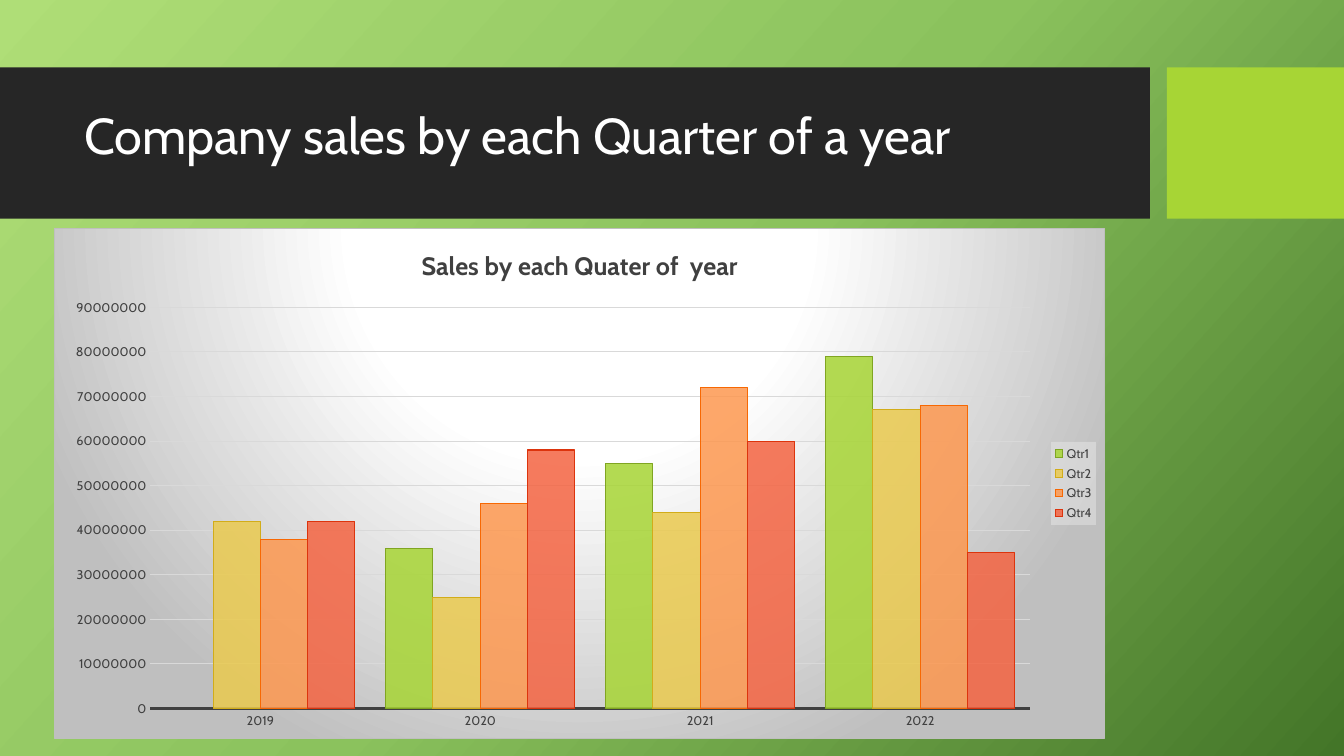
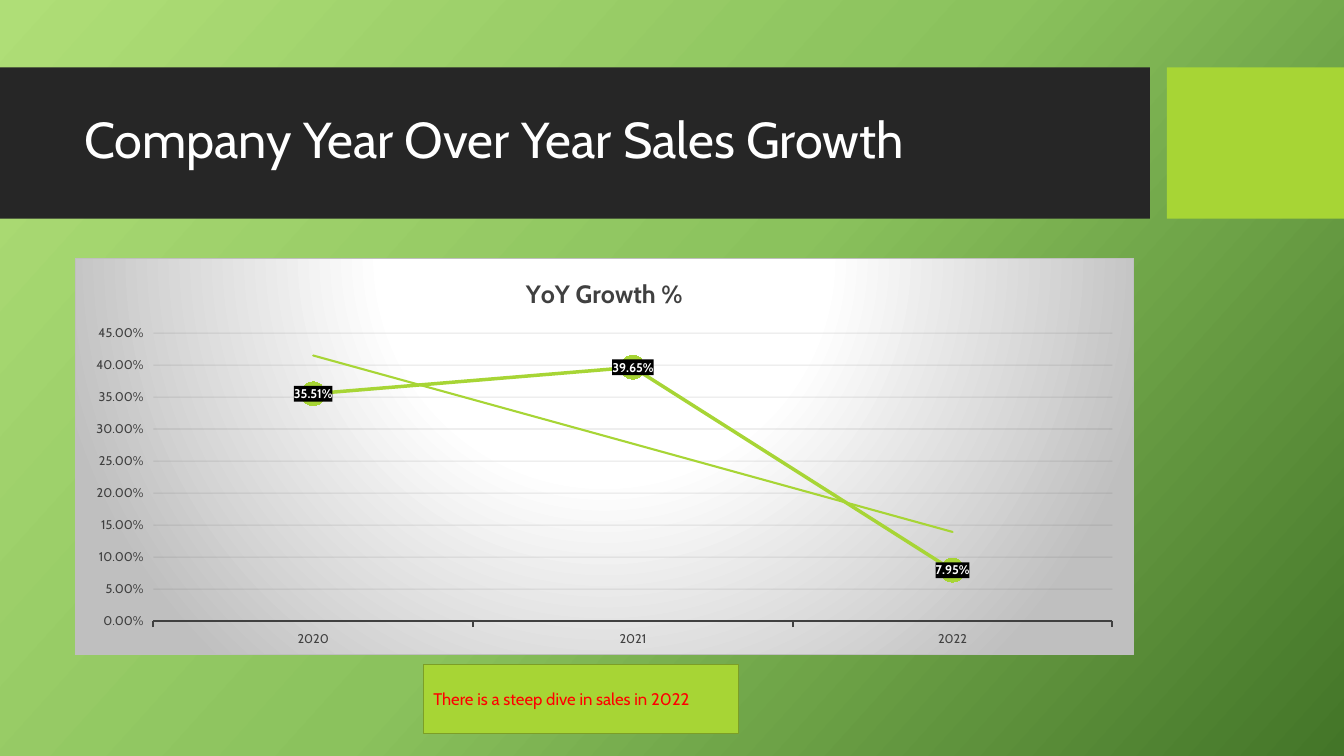
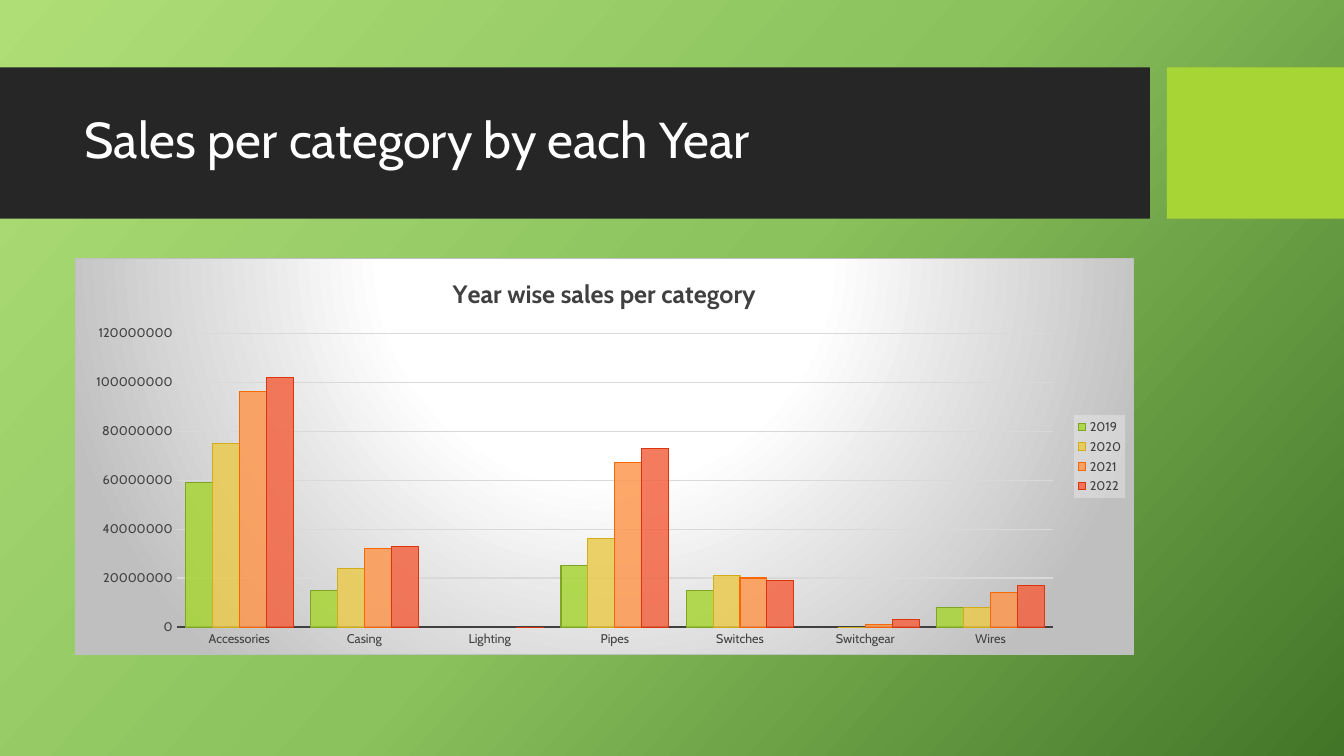
from pptx import Presentation
from pptx.chart.data import CategoryChartData
from pptx.dml.color import RGBColor
from pptx.enum.chart import (XL_CHART_TYPE, XL_LABEL_POSITION, XL_LEGEND_POSITION,
                             XL_MARKER_STYLE, XL_TICK_MARK)
from pptx.enum.shapes import MSO_SHAPE
from pptx.enum.text import MSO_ANCHOR, PP_ALIGN
from pptx.oxml import parse_xml
from pptx.oxml.ns import nsdecls, qn
from pptx.util import Cm, Pt

COLUMNS, LINE = XL_CHART_TYPE.COLUMN_CLUSTERED, XL_CHART_TYPE.LINE_MARKERS
TICK_NONE, TICK_OUT = XL_TICK_MARK.NONE, XL_TICK_MARK.OUTSIDE
RECTANGLE, MIDDLE, LEFT = MSO_SHAPE.RECTANGLE, MSO_ANCHOR.MIDDLE, PP_ALIGN.LEFT
LEGEND_RIGHT, LABEL_CENTER = XL_LEGEND_POSITION.RIGHT, XL_LABEL_POSITION.CENTER
CIRCLE = XL_MARKER_STYLE.CIRCLE

FONT = "Cabin"
WHITE = RGBColor(0xFF, 0xFF, 0xFF)
RED = RGBColor(0xFF, 0x00, 0x00)
CHARCOAL = RGBColor(0x26, 0x26, 0x26)
LIME = RGBColor(0xA7, 0xD5, 0x35)
LIME_EDGE = RGBColor(0x7C, 0x9E, 0x27)
TEXT_GREY = RGBColor(0x40, 0x40, 0x40)
GRID_LIGHT = RGBColor(0xD9, 0xD9, 0xD9)
GRID_DARK = RGBColor(0x0D, 0x0D, 0x0D)
SERIES_COLORS = [  # fill, outline
    (LIME, RGBColor(0x80, 0xA5, 0x22)),
    (RGBColor(0xEA, 0xCA, 0x4F), RGBColor(0xD2, 0xAC, 0x19)),
    (RGBColor(0xFD, 0x98, 0x50), RGBColor(0xF7, 0x68, 0x03)),
    (RGBColor(0xF4, 0x64, 0x42), RGBColor(0xDC, 0x34, 0x0D)),
]

AXIS_TEXT = {"size": Pt(9), "name": FONT}
LABEL_TEXT = {"size": Pt(9), "name": FONT, "bold": True}
CHART_TITLE_TEXT = {"size": Pt(18), "name": FONT, "bold": True}
PAGE_TITLE_TEXT = {"size": Pt(36), "name": FONT}
NOTE_TEXT = {"size": Pt(12), "name": FONT}

BACKGROUND_STOPS = [(0, "AFDE77"), (50, "8BC25D"), (100, "437528")]
CHART_STOPS = [(0, "FFFFFF"), (39, "FFFFFF"), (100, "BFBFBF")]
BACKGROUND_SHADE = '<a:lin ang="2520000" scaled="0"/>'
CHART_SHADE = ('<a:path path="circle"><a:fillToRect l="50000" t="-80000" '
               'r="50000" b="180000"/></a:path>')
CHART_BORDER = '<a:ln w="9525"><a:solidFill><a:srgbClr val="BFBFBF"/></a:solidFill></a:ln>'
TRENDLINE = ('<c:trendline %s><c:spPr><a:ln w="19050" cap="rnd"><a:solidFill>'
             '<a:srgbClr val="A7D535"/></a:solidFill></a:ln></c:spPr>'
             '<c:trendlineType val="linear"/><c:dispRSqr val="0"/><c:dispEq val="0"/>'
             '</c:trendline>') % nsdecls("c", "a")

# Panels behind chart text: owner, colour, opacity in percent
TEXT_PANELS = [("c:legend", "F2F2F2", 39), ("c:dLbls", "000000", 100)]
MILLION = 1_000_000
LOWER_CHART = (1.88, 6.5, 26.7, 10.01)

PAGES = [
    {
        "title": "Company sales by each Quarter of a year", "title_height": 2.82,
        "chart_title": "Sales by each Quater of  year",
        "type": COLUMNS, "at": (1.37, 5.74, 26.47, 12.88),
        "top": 90 * MILLION, "step": 10 * MILLION, "unit": MILLION,
        "categories": ["2019", "2020", "2021", "2022"],
        "series": {
            "Qtr1": [None, 36, 55, 79],
            "Qtr2": [42, 25, 44, 67],
            "Qtr3": [38, 46, 72, 68],
            "Qtr4": [42, 58, 60, 35],
        },
    },
    {
        "title": "Company Year Over Year Sales Growth", "title_height": 3,
        "chart_title": "YoY Growth %",
        "type": LINE, "at": LOWER_CHART,
        "top": 0.45, "step": 0.05, "unit": 1,
        "categories": ["2020", "2021", "2022"],
        "series": {"Series 1": [0.3551, 0.3965, 0.0795]},
        "note": "There is a steep dive in sales in 2022",
    },
    {
        "title": "Sales per category by each Year", "title_height": 3,
        "chart_title": "Year wise sales per category",
        "type": COLUMNS, "at": LOWER_CHART,
        "top": 120 * MILLION, "step": 20 * MILLION, "unit": MILLION,
        "categories": ["Accessories", "Casing", "Lighting", "Pipes",
                       "Switches", "Switchgear", "Wires"],
        "series": {
            "2019": [59, 15, None, 25, 15, None, 8],
            "2020": [75, 24, None, 36, 21, 0, 8],
            "2021": [96, 32, None, 67, 20, 1, 14],
            "2022": [102, 33, 0, 73, 19, 3, 17],
        },
    },
]


def style_font(font, color, values):
    for name, value in values.items():
        setattr(font, name, value)
    font.color.rgb = color


def gradient_xml(stops, shade):
    """Return a gradient fill; stops are (percent, hex colour) pairs."""
    marks = "".join(f'<a:gs pos="{place * 1000}"><a:srgbClr val="{color}"/></a:gs>'
                    for place, color in stops)
    return f'<a:gradFill {nsdecls("a")} rotWithShape="1"><a:gsLst>{marks}</a:gsLst>{shade}</a:gradFill>'


deck = Presentation()
deck.slide_width, deck.slide_height = Cm(33.87), Cm(19.05)
blank = deck.slide_layouts[6]

master = deck.slide_master
master.background.fill.solid()
plain_fill = master.element.xpath(".//p:bgPr/a:solidFill")[0]
plain_fill.getparent().replace(
    plain_fill, parse_xml(gradient_xml(BACKGROUND_STOPS, BACKGROUND_SHADE)))

for content in PAGES:
    page = deck.slides.add_slide(blank)

    for left, width, color in [(0, 28.98, CHARCOAL), (29.41, 4.46, LIME)]:
        band = page.shapes.add_shape(RECTANGLE, Cm(left), Cm(1.7), Cm(width), Cm(3.81))
        band.shadow.inherit = False
        band.fill.solid()
        band.fill.fore_color.rgb = color
        band.line.fill.background()

    title_box = page.shapes.add_textbox(Cm(1.88), Cm(2.08), Cm(26.7),
                                        Cm(content["title_height"]))
    title_box.text_frame.word_wrap = True
    title_box.text_frame.vertical_anchor = MIDDLE
    para = title_box.text_frame.paragraphs[0]
    para.line_spacing = 0.9
    span = para.add_run()
    span.text = content["title"]
    style_font(span.font, WHITE, PAGE_TITLE_TEXT)

    is_line = content["type"] == LINE
    number_format = "0.00%" if is_line else "General"
    chart_data = CategoryChartData(number_format=number_format)
    chart_data.categories = content["categories"]
    for name, values in content["series"].items():
        chart_data.add_series(name, [None if value is None else value * content["unit"]
                                     for value in values])
    chart = page.shapes.add_chart(content["type"], *map(Cm, content["at"]), chart_data).chart
    style_font(chart.font, WHITE, {"size": Pt(10), "name": FONT})

    chart.has_title = True
    span = chart.chart_title.text_frame.paragraphs[0].add_run()
    span.text = content["chart_title"]
    style_font(span.font, TEXT_GREY, CHART_TITLE_TEXT)

    for axis in (chart.category_axis, chart.value_axis):
        axis.major_tick_mark = TICK_OUT if is_line else TICK_NONE
        axis.minor_tick_mark = TICK_NONE
        style_font(axis.tick_labels.font, TEXT_GREY, AXIS_TEXT)
    base_line = chart.category_axis.format.line
    base_line.color.rgb = TEXT_GREY
    base_line.width = Pt(1.5)
    scale = chart.value_axis
    scale.minimum_scale, scale.maximum_scale = 0, content["top"]
    scale.major_unit = content["step"]
    scale.tick_labels.number_format = number_format
    scale.tick_labels.number_format_is_linked = False
    scale.format.line.fill.background()
    scale.has_major_gridlines = True
    grid_line = scale.major_gridlines.format.line
    grid_line.color.rgb = GRID_DARK if is_line else GRID_LIGHT
    grid_line.width = Pt(0.75)

    plot = chart.plots[0]
    plot.vary_by_categories = False
    chart.has_legend = not is_line
    chart_root = chart.element
    if is_line:
        growth = plot.series[0]
        growth.smooth = False
        growth.format.line.color.rgb = LIME
        growth.format.line.width = Pt(2.5)
        growth.marker.style = CIRCLE
        growth.marker.size = 17
        growth.marker.format.fill.solid()
        growth.marker.format.fill.fore_color.rgb = LIME
        growth.marker.format.line.fill.background()
        labels = growth.data_labels
        labels.show_value = True
        labels.position = LABEL_CENTER
        style_font(labels.font, WHITE, LABEL_TEXT)
        chart_root.xpath(".//c:ser/c:cat")[0].addprevious(parse_xml(TRENDLINE))
        faded, opacity = chart_root.xpath(".//c:majorGridlines//a:srgbClr"), 10
    else:
        plot.gap_width = 65
        plot.overlap = 0
        for series, (fill_color, edge_color) in zip(plot.series, SERIES_COLORS):
            series.invert_if_negative = False
            series.format.fill.solid()
            series.format.fill.fore_color.rgb = fill_color
            series.format.line.color.rgb = edge_color
            series.format.line.width = Pt(0.75)
        chart.legend.position = LEGEND_RIGHT
        chart.legend.include_in_layout = False
        style_font(chart.legend.font, TEXT_GREY, AXIS_TEXT)
        faded, opacity = chart_root.xpath(".//c:ser/c:spPr/a:solidFill/a:srgbClr"), 85

    for color in faded:
        color.append(parse_xml(f'<a:alpha {nsdecls("a")} val="{opacity * 1000}"/>'))
    for owner, color, opacity in TEXT_PANELS:
        for text_format in chart_root.xpath(f".//{owner}/c:txPr"):
            text_format.addprevious(parse_xml(
                f'<c:spPr {nsdecls("c", "a")}><a:solidFill><a:srgbClr val="{color}">'
                f'<a:alpha val="{opacity * 1000}"/></a:srgbClr></a:solidFill></c:spPr>'))
    chart_root.find(qn("c:chart")).addnext(parse_xml(
        f'<c:spPr {nsdecls("c", "a")}>{gradient_xml(CHART_STOPS, CHART_SHADE)}'
        f'{CHART_BORDER}</c:spPr>'))

    if "note" in content:
        note = page.shapes.add_shape(RECTANGLE, Cm(10.67), Cm(16.74), Cm(7.95), Cm(1.75))
        note.shadow.inherit = False
        note.fill.solid()
        note.fill.fore_color.rgb = LIME
        note.line.color.rgb = LIME_EDGE
        note.line.width = Pt(1)
        note.text_frame.word_wrap = True
        note.text_frame.vertical_anchor = MIDDLE
        para = note.text_frame.paragraphs[0]
        para.alignment = LEFT
        span = para.add_run()
        span.text = content["note"]
        style_font(span.font, RED, NOTE_TEXT)

deck.save("out.pptx")
